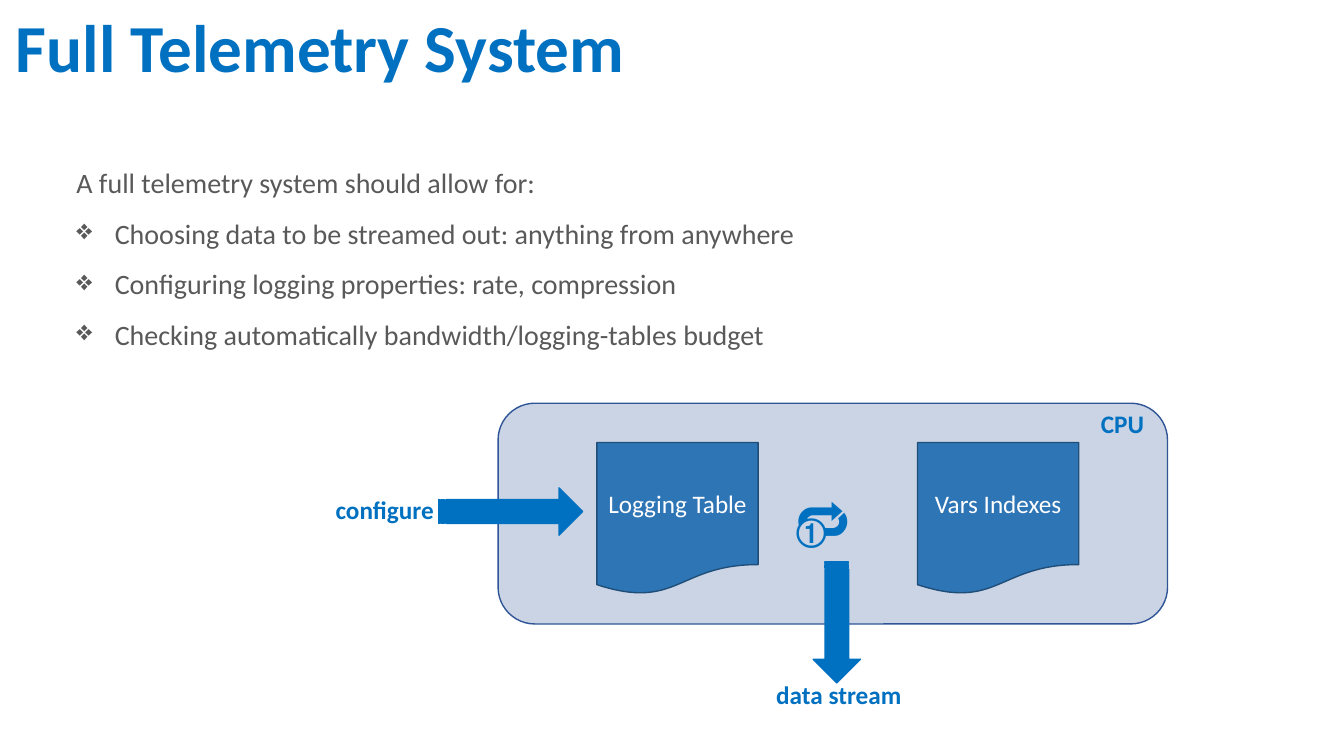
from lxml.etree import SubElement
from pptx import Presentation
from pptx.dml.color import RGBColor
from pptx.enum.shapes import MSO_SHAPE as Preset
from pptx.enum.text import MSO_ANCHOR as Anchor, MSO_AUTO_SIZE as AutoSize, PP_ALIGN as Align
from pptx.oxml.ns import qn
from pptx.util import Inches, Pt

COLORS = {
    "accent": "0070C0",
    "body": "595959",
    "cpu": "2F5597",
    "document": "2E75B6",
    "document_edge": "1F4E79",
    "white": "FFFFFF",
}
FONT = "Calibri"
REQUIREMENTS = [
    "Choosing data to be streamed out: anything from anywhere",
    "Configuring logging properties: rate, compression",
    "Checking automatically bandwidth/logging-tables budget",
]


def rgb(color):
    """Look up a named colour."""
    return RGBColor.from_string(COLORS[color])


def style(paragraph, size, color, bold=False):
    """Format every run of a paragraph."""
    for run in paragraph.runs:
        run.font.name = FONT
        run.font.size = Pt(size)
        run.font.bold = bold
        run.font.color.rgb = rgb(color)


def add_text(slide, box, lines, size, color="accent", bold=False, wrap=False):
    """Add a text box and return its paragraphs."""
    frame = slide.shapes.add_textbox(*map(Inches, box)).text_frame
    frame.word_wrap = wrap
    frame.auto_size = AutoSize.SHAPE_TO_FIT_TEXT
    frame.text = "\n".join(lines)
    for paragraph in frame.paragraphs:
        style(paragraph, size, color, bold)
    return frame.paragraphs


def add_bullet(paragraph):
    """Give a paragraph a diamond bullet with a hanging indent."""
    properties = paragraph._p.get_or_add_pPr()
    properties.set("marL", str(Inches(0.38)))
    properties.set("indent", str(Inches(-0.38)))
    SubElement(properties, qn("a:buChar"), char="❖")


def add_block(slide, preset, box, fill, edge):
    """Add a filled and outlined preset shape."""
    block = slide.shapes.add_shape(preset, *map(Inches, box))
    block.shadow.inherit = False
    block.fill.solid()
    block.fill.fore_color.rgb = rgb(fill)
    block.line.color.rgb = rgb(edge)
    block.line.width = Pt(1)
    return block


def add_cpu(slide):
    """Add the translucent processor area and its label."""
    cpu = add_block(slide, Preset.ROUNDED_RECTANGLE, (4.94, 4, 6.64, 2.19), "cpu", "cpu")
    fill_color = cpu.fill._xPr.find(qn("a:solidFill"))[0]
    SubElement(fill_color, qn("a:alpha"), val="25000")
    add_text(slide, (10.82, 4, 0.63, 0.4), ["CPU"], 18, bold=True)


def add_document(slide, left, label):
    """Add a labelled data document inside the processor."""
    document = add_block(slide, Preset.FLOWCHART_DOCUMENT, (left, 4.39, 1.6, 1.51),
                         "document", "document_edge")
    frame = document.text_frame
    frame.word_wrap = True
    frame.vertical_anchor = Anchor.MIDDLE
    frame.text = label
    frame.paragraphs[0].alignment = Align.CENTER
    style(frame.paragraphs[0], 18, "white")


def add_flow(slide, arrow_box, rotation, label, label_box):
    """Add a striped arrow and the name of the flow it shows."""
    arrow = add_block(slide, Preset.STRIPED_RIGHT_ARROW, arrow_box, "accent", "accent")
    arrow.rotation = rotation
    add_text(slide, label_box, [label], 18, bold=True)


def main():
    """Build and save the telemetry slide."""
    deck = Presentation()
    deck.slide_width, deck.slide_height = Inches(13.33), Inches(7.5)
    slide = deck.slides.add_slide(deck.slide_layouts[6])

    add_text(slide, (0.06, 0, 6.29, 0.91), ["Full Telemetry System"], 48, bold=True)
    overview = add_text(slide, (0.66, 1.43, 7.48, 2.07),
                        ["A full telemetry system should allow for:", *REQUIREMENTS], 20, "body")
    for paragraph in overview:
        paragraph.line_spacing = 1.5
    for requirement in overview[1:]:
        add_bullet(requirement)

    add_cpu(slide)
    add_document(slide, 9.1, "Vars Indexes")
    add_document(slide, 5.92, "Logging Table")
    add_text(slide, (7.78, 4.72, 1.05, 0.84), ["🔂"], 44, wrap=True)
    add_flow(slide, (7.7, 5.94, 1.2, 0.47), 90, "data stream", (7.6, 6.69, 1.45, 0.4))
    add_flow(slide, (4.35, 4.84, 1.43, 0.47), 0, "configure", (3.23, 4.85, 1.18, 0.4))

    deck.save("out.pptx")


if __name__ == "__main__":
    main()
